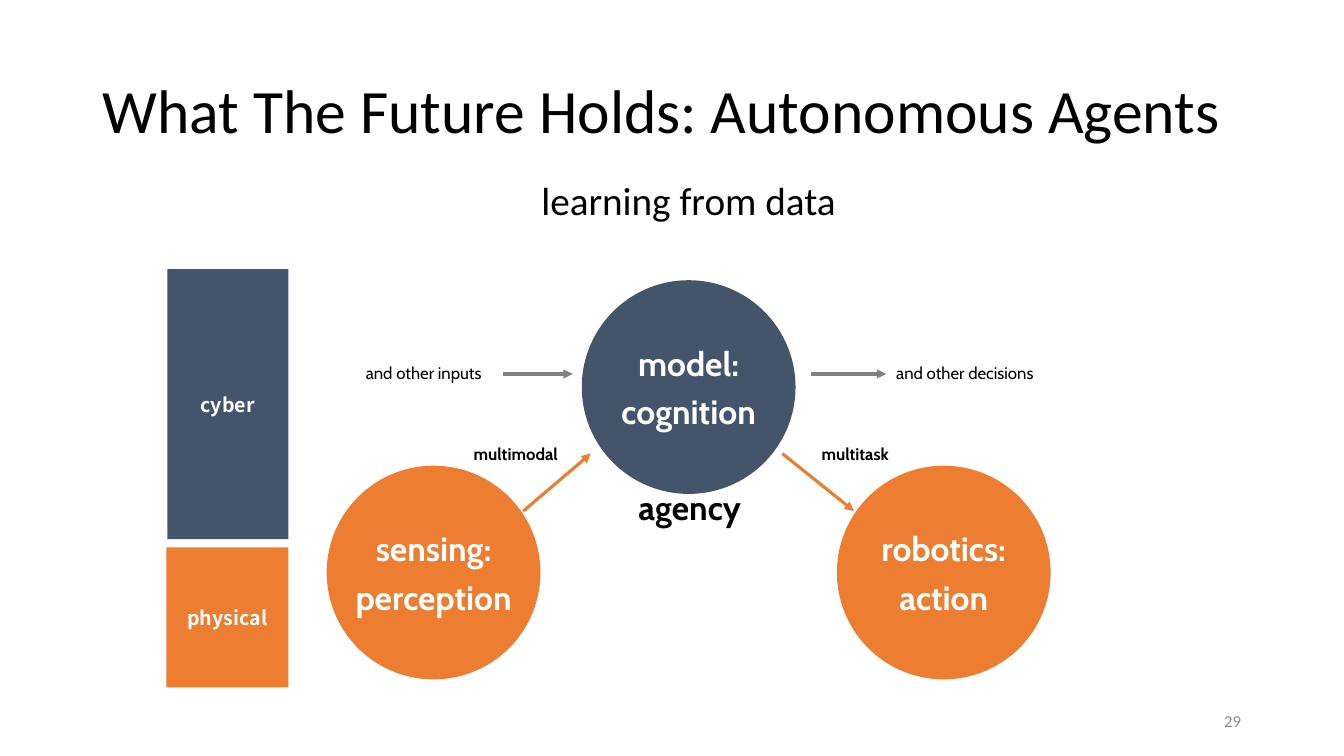
"""Build the slide on autonomous agents: sensing, model and robotics."""
import pptx
import pptx.util
import pptx.dml.color
import pptx.enum.shapes
import pptx.enum.text
import pptx.oxml
import pptx.oxml.ns

Inches = pptx.util.Inches
SHAPE = pptx.enum.shapes.MSO_SHAPE
ALIGN = pptx.enum.text.PP_ALIGN
ANCHOR = pptx.enum.text.MSO_ANCHOR

COLORS = {"orange": "ED7D31", "slate": "44546A", "gray": "808080",
          "black": "000000", "white": "FFFFFF", "number": "8C8C8C"}
WIDTH, HEIGHT = 13.33, 7.5
MARGIN = 0.92
AXIS, STEP = 6.83, 2.53
DIAMETER = 2.12
UPPER, LOWER = 3.84, 5.68
LABEL_ROW, ARROW_ROW, INPUT_ROW = 4.3, 3.71, 3.5

TITLE = "What The Future Holds: Autonomous Agents"
LAYERS = [
    ("physical", "orange", (1.65, 5.43, 1.21, 1.39)),
    ("cyber", "slate", (1.66, 2.67, 1.2, 2.68)),
]
LABELS = [
    ("learning from data", (5.27, 1.7, 3.15, 0.57),
     dict(size=28, font="Calibri", inset=(0.1, 0.05))),
    ("agency", (AXIS - 0.93, 4.78, 1.88, 0.5),
     dict(size=24, bold=True, align=ALIGN.CENTER, wrap=True, inset=(0.1, 0.05))),
    ("multimodal", (4.6, LABEL_ROW, 1.08, 0.4), dict(bold=True, after=6)),
    ("multitask", (8.05, LABEL_ROW, 0.92, 0.4), dict(bold=True, after=6)),
    ("and other inputs", (3.53, INPUT_ROW, 1.48, 0.4), dict(after=6)),
    ("and other decisions", (8.79, INPUT_ROW, 1.72, 0.4), dict(after=6)),
    ("29", (WIDTH - MARGIN - 3, 6.95, 3, 0.4),
     dict(font="Calibri", color="number", align=ALIGN.RIGHT, wrap=True,
          anchor=ANCHOR.MIDDLE, inset=(0.1, 0.05))),
]
STAGES = [
    ("sensing:\nperception", "orange", -1, LOWER),
    ("robotics:\naction", "orange", 1, LOWER),
    ("model:\ncognition", "slate", 0, UPPER),
]
ARROWS = [
    ("orange", (5.19, 5.07), (5.86, 4.5)),
    ("orange", (7.76, 4.5), (8.47, 5.07)),
    ("gray", (4.99, ARROW_ROW), (5.68, ARROW_ROW)),
    ("gray", (8.04, ARROW_ROW), (8.79, ARROW_ROW)),
]


def rgb(color):
    return pptx.dml.color.RGBColor.from_string(COLORS[color])


def write(holder, text, size=12, font="Cabin", color="black", bold=False,
          align=ALIGN.LEFT, anchor=ANCHOR.TOP, after=0, spacing=1.0,
          wrap=False, inset=(0.1, 0.1)):
    frame = holder.text_frame
    frame.text = text
    frame.word_wrap = wrap
    frame.auto_size = pptx.enum.text.MSO_AUTO_SIZE.NONE
    frame.vertical_anchor = anchor
    frame.margin_left = frame.margin_right = Inches(inset[0])
    frame.margin_top = frame.margin_bottom = Inches(inset[1])
    for line in frame.paragraphs:
        line.alignment = align
        line.line_spacing = spacing
        line.space_before = pptx.util.Pt(0)
        line.space_after = pptx.util.Pt(after)
        for run in line.runs:
            run.font.size = pptx.util.Pt(size)
            run.font.name = font
            run.font.bold = bold
            run.font.color.rgb = rgb(color)


def add_block(slide, kind, box, fill, text, **style):
    block = slide.shapes.add_shape(kind, *map(Inches, box))
    block.shadow.inherit = False
    block.fill.solid()
    block.fill.fore_color.rgb = rgb(fill)
    block.line.fill.background()
    write(block, text, color="white", bold=True, align=ALIGN.CENTER,
          anchor=ANCHOR.MIDDLE, inset=(0, 0), **style)


def add_arrow(slide, color, start, end):
    arrow = slide.shapes.add_connector(
        pptx.enum.shapes.MSO_CONNECTOR.STRAIGHT, *map(Inches, start + end))
    arrow.line.color.rgb = rgb(color)
    arrow.line.width = pptx.util.Pt(2.25)
    head = pptx.oxml.parse_xml(
        f'<a:tailEnd {pptx.oxml.ns.nsdecls("a")} type="triangle"/>')
    arrow.line._get_or_add_ln().append(head)
    arrow._element.spPr.append(pptx.oxml.parse_xml(
        f'<a:effectLst {pptx.oxml.ns.nsdecls("a")}/>'))


def main():
    deck = pptx.Presentation()
    deck.slide_width, deck.slide_height = Inches(WIDTH), Inches(HEIGHT)
    slide = deck.slides.add_slide(deck.slide_layouts[5])

    title = slide.shapes.title
    title.left, title.top = Inches(MARGIN), Inches(0.4)
    title.width, title.height = Inches(11.5), Inches(1.45)
    write(title, TITLE, size=44, font="Calibri", anchor=ANCHOR.MIDDLE,
          spacing=0.9, wrap=True, inset=(0.1, 0.05))

    for name, fill, box in LAYERS:
        add_block(slide, SHAPE.RECTANGLE, box, fill, name,
                  size=14, font="Noto Sans CJK JP")
    for text, box, style in LABELS:
        write(slide.shapes.add_textbox(*map(Inches, box)), text, **style)
    for name, fill, column, middle in STAGES:
        left = AXIS + column * STEP - DIAMETER / 2
        box = (left, middle - DIAMETER / 2, DIAMETER, DIAMETER)
        add_block(slide, SHAPE.OVAL, box, fill, name, size=24, after=6)
    for color, start, end in ARROWS:
        add_arrow(slide, color, start, end)

    deck.save("out.pptx")


if __name__ == "__main__":
    main()
